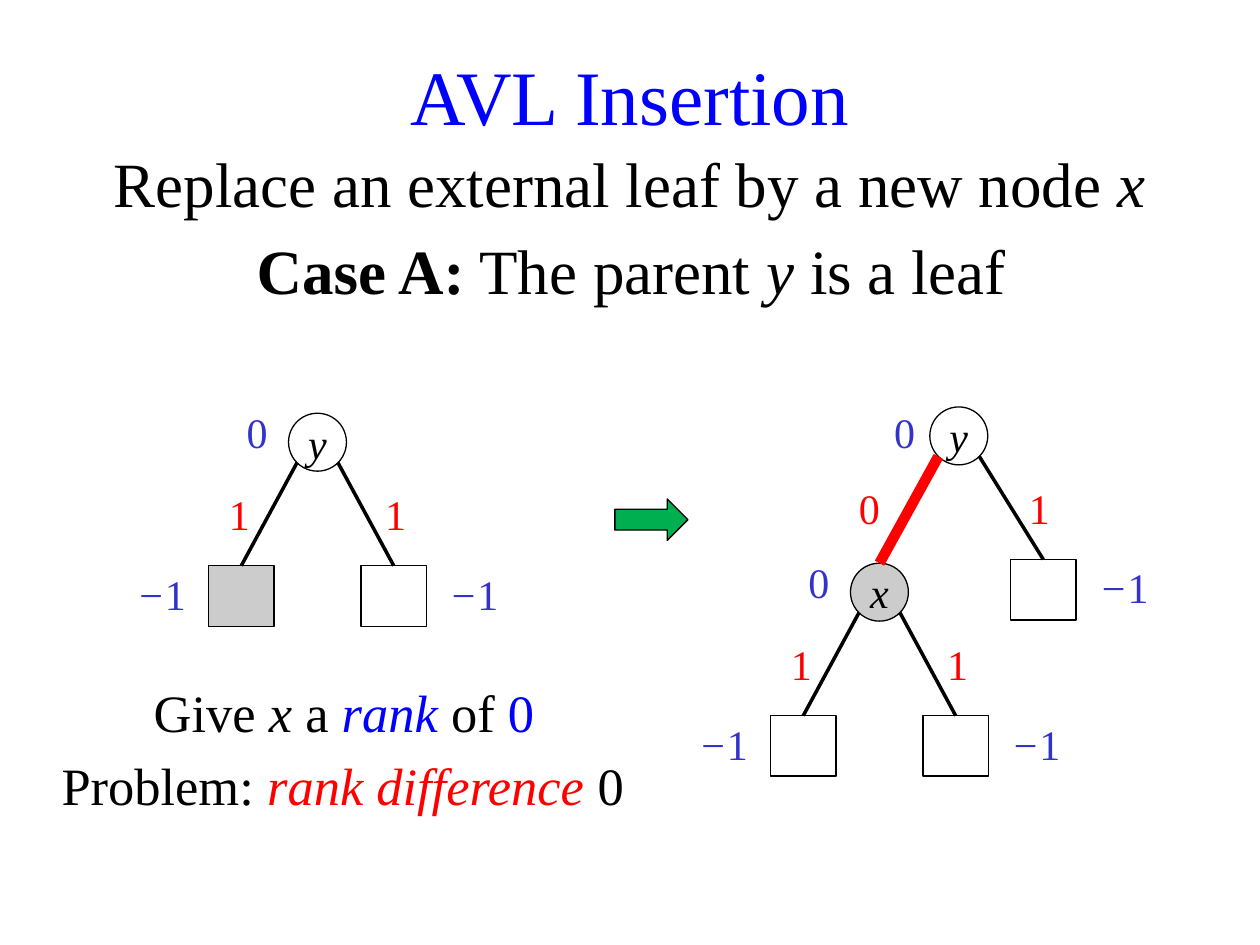
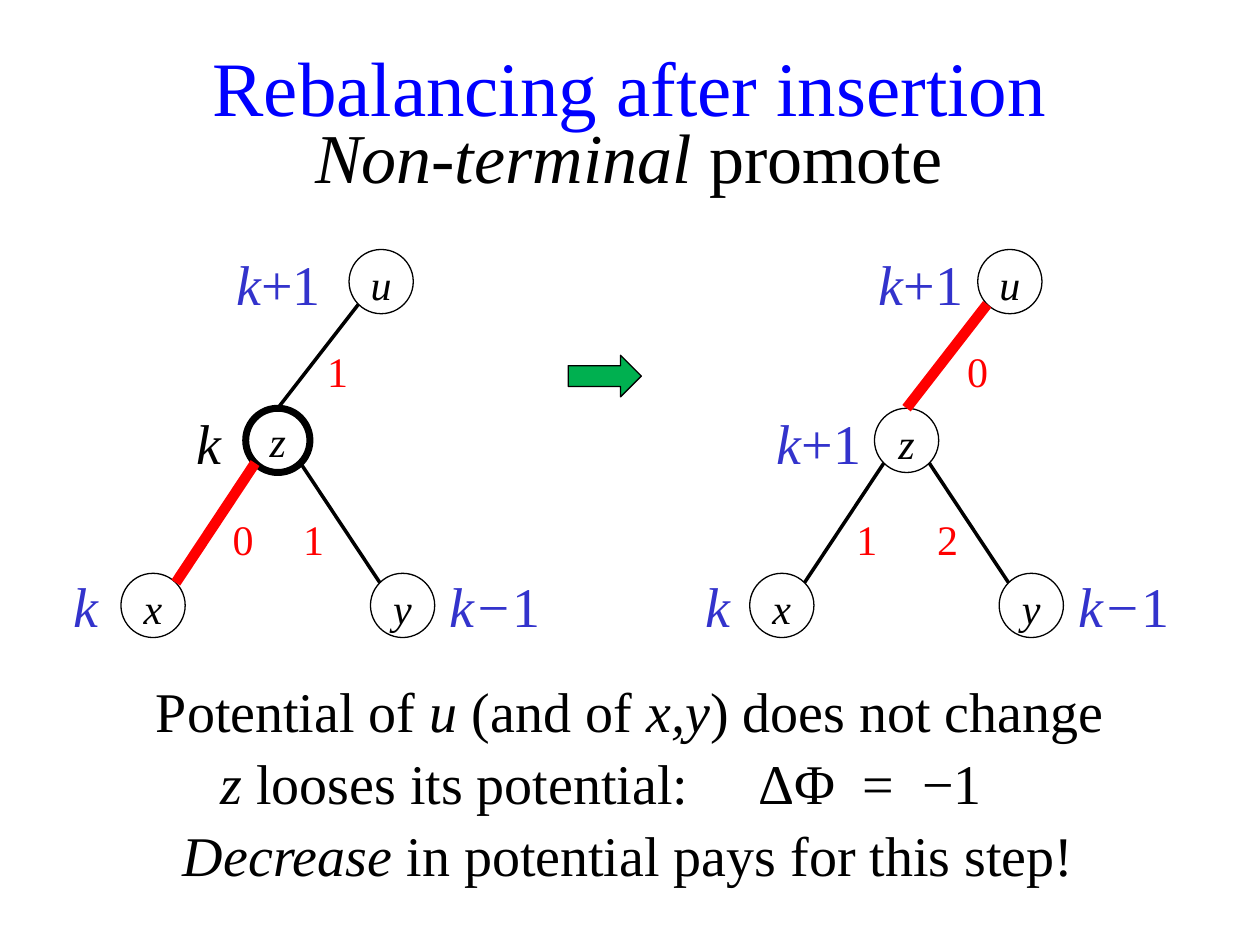
from math import sqrt

from pptx import Presentation
from pptx.dml.color import RGBColor
from pptx.enum.shapes import MSO_CONNECTOR, MSO_SHAPE
from pptx.enum.text import MSO_ANCHOR, PP_ALIGN
from pptx.oxml import parse_xml
from pptx.oxml.ns import nsdecls, qn
from pptx.util import Inches, Pt

OVAL, BOX, ARROW = MSO_SHAPE.OVAL, MSO_SHAPE.RECTANGLE, MSO_SHAPE.RIGHT_ARROW
STRAIGHT = MSO_CONNECTOR.STRAIGHT
TOP, MIDDLE = MSO_ANCHOR.TOP, MSO_ANCHOR.MIDDLE
LEFT, CENTER = PP_ALIGN.LEFT, PP_ALIGN.CENTER

FONT = "Times New Roman"
COLORS = {"black": "000000", "blue": "0000FF", "rank": "3333CC",
          "red": "FF0000", "grey": "CCCCCC", "green": "00B050"}

# Rank labels, as runs of (text, style)
MINUS_ONE = [("−", "i"), ("1", "")]
K = [("k", "i")]
K_PLUS = [("k", "i"), ("+1", "")]
K_MINUS = [("k−", "i"), ("1", "")]


def rgb(name):
    return RGBColor.from_string(COLORS[name])


class Deck:
    def __init__(self):
        self.prs = Presentation()
        self.prs.slide_width, self.prs.slide_height = Inches(10), Inches(7.5)
        self.slide = None

    def add_runs(self, paragraph, runs, size, color="black", align=CENTER):
        """Style words: i, b, or a colour name."""
        paragraph.alignment = align
        for words, style in runs:
            run = paragraph.add_run()
            run.text = words
            marks = style.split()
            font = run.font
            font.name, font.size = FONT, Pt(size)
            font.italic, font.bold = "i" in marks, "b" in marks
            font.color.rgb = rgb(next((m for m in marks if m in COLORS), color))

    def new_slide(self, title, top):
        self.slide = self.prs.slides.add_slide(self.prs.slide_layouts[5])
        heading = self.slide.shapes.title
        heading.left, heading.top = Inches(0), Inches(top)
        heading.width, heading.height = Inches(10), Inches(1.02)
        heading.text_frame.vertical_anchor = MIDDLE
        self.add_runs(heading.text_frame.paragraphs[0], [(title, "")], 44, "blue")

    def text(self, runs, cx, top, width, size, color="black", align=CENTER, tabs=()):
        box = self.slide.shapes.add_textbox(
            Inches(cx - width / 2), Inches(top), Inches(width),
            Inches(round(size * 1.15 / 72 + 0.1, 2)))
        box.text_frame.word_wrap = True
        paragraph = box.text_frame.paragraphs[0]
        if tabs:
            stops = "".join(f'<a:tab pos="{Inches(t)}" algn="l"/>' for t in tabs)
            paragraph._p.get_or_add_pPr().append(
                parse_xml(f'<a:tabLst {nsdecls("a")}>{stops}</a:tabLst>'))
        self.add_runs(paragraph, runs, size, color, align)

    def rank(self, runs, cx, top, size=24, color="rank"):
        self.text(runs, cx, top, 1.1, size, color)

    def difference(self, value, cx, top):
        self.text([(value, "")], cx, top, 0.6, 24, "red")

    def shape(self, kind, cx, cy, width, height, fill=None, line=0.75):
        shape = self.slide.shapes.add_shape(
            kind, Inches(cx - width / 2), Inches(cy - height / 2),
            Inches(width), Inches(height))
        shape.shadow.inherit = False
        if fill:
            shape.fill.solid()
            shape.fill.fore_color.rgb = rgb(fill)
        else:
            shape.fill.background()
        shape.line.color.rgb, shape.line.width = rgb("black"), Pt(line)
        return shape

    def node(self, name, cx, cy, size, anchor=MIDDLE, **style):
        node = self.shape(OVAL, cx, cy, size, size, **style)
        frame = node.text_frame
        frame.margin_left = frame.margin_right = 0
        frame.margin_top = frame.margin_bottom = 0
        frame.vertical_anchor = anchor
        self.add_runs(frame.paragraphs[0], [(name, "i")], 24)
        return node

    def leaf(self, cx, cy, fill=None):
        return self.shape(BOX, cx, cy, 0.52, 0.48, fill)

    def arrow(self, cx, cy):
        self.shape(ARROW, cx, cy, 0.58, 0.33, "green")

    def edge(self, parent, child, hot=False, to_top=True):
        """From the parent's lower diagonal to the child's top or upper diagonal."""
        def diagonal(node, side, down):
            reach = node.width / 2 / sqrt(2)
            return (int(node.left + node.width / 2 + side * reach),
                    int(node.top + node.height / 2 + down * reach))

        side = 1 if child.left > parent.left else -1
        edge = self.slide.shapes.add_connector(
            STRAIGHT, *diagonal(parent, side, 1), *diagonal(child, -side, -1))
        if to_top:
            edge.end_connect(child, 0)
        edge.line.color.rgb = rgb("red" if hot else "black")
        edge.line.width = Pt(6 if hot else 2)
        properties = edge._element.find(qn("p:spPr"))
        properties.append(parse_xml(f'<a:effectLst {nsdecls("a")}/>'))


def leaf_parent(deck, name, cx, cy, node_fill=None, left_fill=None):
    """A node of rank 0 with two external leaves."""
    parent = deck.node(name, cx, cy, 0.46, fill=node_fill)
    deck.rank([("0", "")], cx - 0.48, cy - 0.33)
    for side, fill in ((-1, left_fill), (1, None)):
        deck.edge(parent, deck.leaf(cx + side * 0.605, cy + 1.22, fill))
        deck.difference("1", cx + side * 0.62, cy + 0.32)
        deck.rank(MINUS_ONE, cx + side * 1.24, cy + 0.95)
    return parent


def promote_tree(deck, cx, z_line, z_anchor, hot, ranks, differences):
    """u above z, with x and y below; hot names the child on the red edge."""
    cy = 3.495
    z = deck.node("z", cx, cy, 0.51, z_anchor, line=z_line)
    u, x, y = (deck.node(name, cx + dx, cy + dy, 0.51, TOP)
               for name, dx, dy in (("u", 0.82, -1.26), ("x", -0.99, 1.31),
                                    ("y", 0.99, 1.31)))
    deck.edge(u, z, hot == "z")
    deck.edge(z, x, hot == "x", to_top=False)
    deck.edge(z, y, to_top=False)
    for (runs, color, label_x), top in zip(ranks, (1.93, 3.19, 4.49, 4.49)):
        deck.rank(runs, label_x, top, 32, color)
    for (value, label_x), top in zip(differences, (2.69, 4.03, 4.03)):
        deck.difference(value, label_x, top)


def insertion_slide(deck):
    deck.new_slide("AVL Insertion", 0.24)
    deck.text([("Replace an external leaf by a new node ", ""), ("x", "i")],
              5, 1.1, 10, 36)
    deck.text([("Case A:", "b"), (" The parent ", ""), ("y", "i"),
               (" is a leaf", "")], 5.01, 1.79, 9.98, 36)

    # Before: y has two external leaves
    leaf_parent(deck, "y", 2.52, 3.51, left_fill="grey")
    deck.arrow(5.17, 4.125)

    # After: x replaces the grey leaf
    y = deck.node("y", 7.61, 3.46, 0.46)
    x = leaf_parent(deck, "x", 6.98, 4.7, node_fill="grey")
    deck.edge(y, x, hot=True)
    deck.edge(y, deck.leaf(8.28, 4.68))
    deck.rank([("0", "")], 7.18, 3.18)
    deck.difference("0", 6.9, 3.78)
    deck.difference("1", 8.25, 3.78)
    deck.rank(MINUS_ONE, 8.92, 4.41)

    # Conclusions
    deck.text([("Give ", ""), ("x", "i"), (" a ", ""), ("rank", "i blue"),
               (" of ", ""), ("0", "blue")], 2.73, 5.35, 5.4, 30)
    deck.text([("Problem: ", ""), ("rank difference ", "i red"), ("0", "")],
              2.72, 5.93, 5.4, 30)


def rebalancing_slide(deck):
    deck.new_slide("Rebalancing after insertion", 0.17)
    deck.text([("Non-terminal", "i"), (" promote", "")], 4.99, 0.85, 9.98, 40)

    # Before and after the promotion; labels in the order u, z, x, y
    promote_tree(deck, 2.205, 4, MIDDLE, "x",
                 [(K_PLUS, "rank", 2.21), (K, "black", 1.66),
                  (K, "rank", 0.68), (K_MINUS, "rank", 3.93)],
                 [("1", 2.68), ("0", 1.93), ("1", 2.49)])
    deck.arrow(4.8, 2.985)
    promote_tree(deck, 7.195, 0.75, TOP, "z",
                 [(K_PLUS, "rank", 7.31), (K_PLUS, "rank", 6.5),
                  (K, "rank", 5.7), (K_MINUS, "rank", 8.92)],
                 [("0", 7.76), ("1", 6.88), ("2", 7.52)])

    # Effect on the potential
    deck.text([("Potential of ", ""), ("u", "i"), (" (and of ", ""),
               ("x,y", "i"), (") does not change", "")], 5, 5.32, 9.98, 32)
    deck.text([("z", "i"), (" looses its potential:\tΔΦ\t=\t−1", "")],
              5, 5.89, 6.7, 32, align=LEFT, tabs=(4.27, 5.1, 5.57))
    deck.text([("Decrease", "i"), (" in potential pays for this step!", "")],
              4.99, 6.46, 9.98, 32)


def main():
    deck = Deck()
    insertion_slide(deck)
    rebalancing_slide(deck)
    deck.prs.save("out.pptx")


if __name__ == "__main__":
    main()
